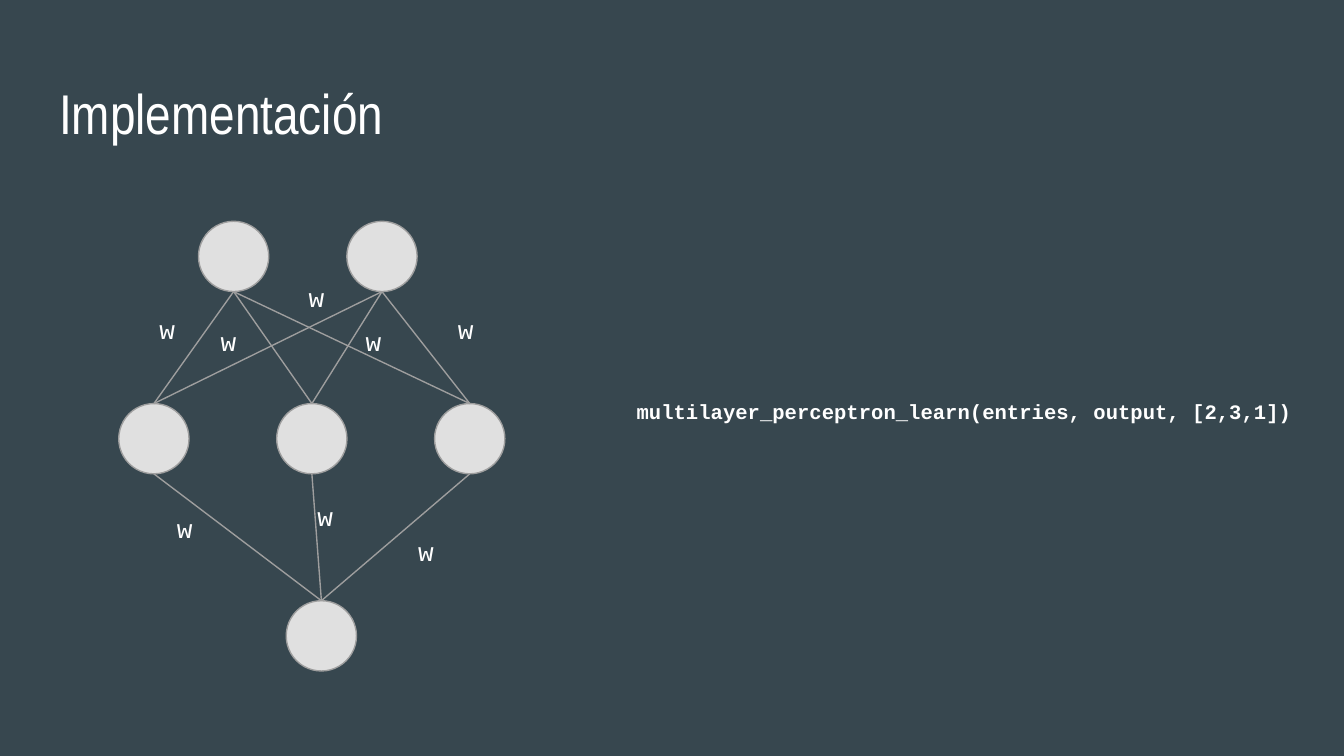
from itertools import pairwise, product

from pptx import Presentation
from pptx.dml.color import RGBColor
from pptx.enum.shapes import MSO_CONNECTOR, MSO_SHAPE
from pptx.enum.text import MSO_ANCHOR, PP_ALIGN
from pptx.oxml.ns import qn
from pptx.util import Inches, Pt

BACKGROUND = RGBColor(0x37, 0x47, 0x4F)
NODE_FILL = RGBColor(0xE0, 0xE0, 0xE0)
LINE_COLOR = RGBColor(0x9E, 0x9E, 0x9E)
WHITE = RGBColor(0xFF, 0xFF, 0xFF)

SLIDE_WIDTH = Inches(10)
SLIDE_HEIGHT = SLIDE_WIDTH * 9 // 16
COLUMN = SLIDE_WIDTH / 100
ROW = SLIDE_HEIGHT / 56.25

NODE_SIZE = 5.23
LAYERS = [
    {"count": 2, "left": 14.77, "top": 16.47, "step": 11.04},
    {"count": 3, "left": 8.84, "top": 30.03, "step": 11.75},
    {"count": 1, "left": 21.3, "top": 44.7, "step": 0},
]
WEIGHT_POSITIONS = [
    (10.15, 22.3), (32.35, 22.3), (25.5, 23.2), (21.25, 19.9),
    (14.7, 23.2), (21.9, 36.25), (11.45, 37.1), (29.4, 38.85),
]


def columns(count):
    return round(count * COLUMN)


def rows(count):
    return round(count * ROW)


def write_text(shape, text, font_name, size, alignment, bold=False):
    text_frame = shape.text_frame
    text_frame.text = text
    text_frame.word_wrap = True
    text_frame.vertical_anchor = MSO_ANCHOR.TOP
    text_frame.margin_left = text_frame.margin_right = Inches(0.1)
    text_frame.margin_top = text_frame.margin_bottom = Inches(0.1)
    paragraph = text_frame.paragraphs[0]
    paragraph.alignment = alignment
    font = paragraph.runs[0].font
    font.name = font_name
    font.size = Pt(size)
    font.bold = bold
    font.color.rgb = WHITE


def format_title(slide, text):
    title = slide.shapes.title
    title.left, title.top = columns(3.4), rows(4.87)
    title.width, title.height = columns(93.2), rows(6.3)
    write_text(title, text, "Arial Narrow", 30, PP_ALIGN.LEFT)


def add_code(slide, text, left, top, width, height, size, bold=False):
    box = slide.shapes.add_textbox(
        columns(left), rows(top), columns(width), rows(height)
    )
    write_text(box, text, "Courier New", size, PP_ALIGN.CENTER, bold)


def add_node(slide, left, top):
    node = slide.shapes.add_shape(
        MSO_SHAPE.OVAL,
        columns(left), rows(top), columns(NODE_SIZE), columns(NODE_SIZE),
    )
    node.shadow.inherit = False
    node.fill.solid()
    node.fill.fore_color.rgb = NODE_FILL
    node.line.color.rgb = LINE_COLOR
    node.line.width = Pt(0.75)
    return node


def add_layer(slide, count, left, top, step):
    return [add_node(slide, left + index * step, top) for index in range(count)]


def add_link(slide, upper, lower):
    link = slide.shapes.add_connector(
        MSO_CONNECTOR.STRAIGHT,
        upper.left + upper.width // 2, upper.top + upper.height,
        lower.left + lower.width // 2, lower.top,
    )
    link.line.color.rgb = LINE_COLOR
    link.line.width = Pt(0.75)
    properties = link.element.find(qn("p:spPr"))
    properties.append(properties.makeelement(qn("a:effectLst"), {}))


def add_network(slide):
    layers = [add_layer(slide, **layer) for layer in LAYERS]
    for upper_layer, lower_layer in pairwise(layers):
        for upper, lower in product(upper_layer, lower_layer):
            add_link(slide, upper, lower)


def add_weights(slide):
    for left, top in WEIGHT_POSITIONS:
        add_code(slide, "w", left, top, 4.6, 4.1, 14)


def main():
    presentation = Presentation()
    presentation.slide_width = SLIDE_WIDTH
    presentation.slide_height = SLIDE_HEIGHT
    slide = presentation.slides.add_slide(presentation.slide_layouts[5])
    slide.background.fill.solid()
    slide.background.fill.fore_color.rgb = BACKGROUND
    format_title(slide, "Implementación")
    add_network(slide)
    add_code(
        slide, "multilayer_perceptron_learn(entries, output, [2,3,1])",
        44.9, 28.8, 53.7, 5.7, 11, bold=True,
    )
    add_weights(slide)
    presentation.save("out.pptx")


if __name__ == "__main__":
    main()
